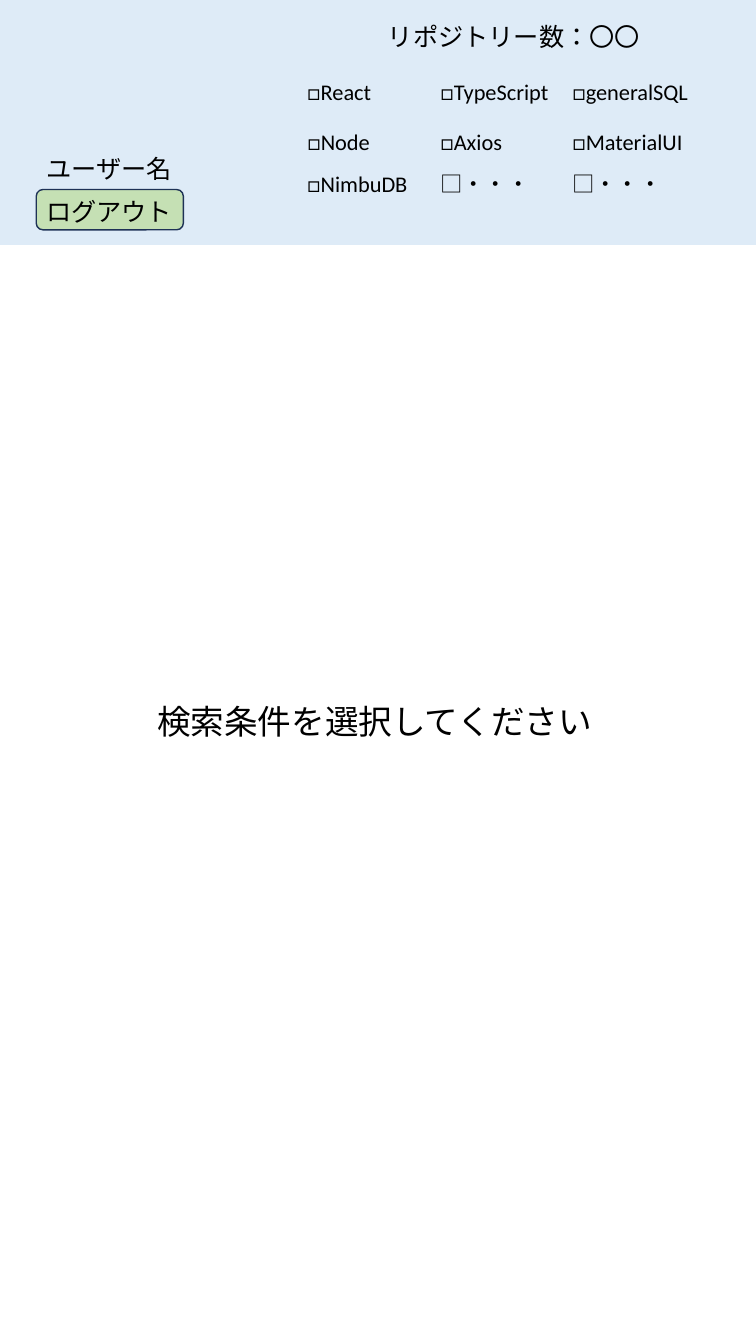
from pptx import Presentation
from pptx.dml.color import RGBColor
from pptx.enum.lang import MSO_LANGUAGE_ID as Language
from pptx.enum.shapes import MSO_SHAPE as Shape
from pptx.enum.text import MSO_AUTO_SIZE as AutoSize
from pptx.util import Inches, Pt

FONT = "Calibri"
FILTER_LEFTS = (2.95, 4.27, 5.58)
# Each row: top, then (label, box width) for each column
FILTER_ROWS = (
    (0.73, (("React", 0.93), ("TypeScript", 1.38), ("generalSQL", 1.47))),
    (1.22, (("Node", 0.92), ("Axios", 0.91), ("MaterialUI", 1.39))),
    (1.64, (("NimbuDB", 1.34), ("・・・", 1.1), ("・・・", 1.1))),
)


def color(hex_string):
    return RGBColor.from_string(hex_string)


def add_panel(slide, kind, left, top, width, height, fill, line=None):
    shape = slide.shapes.add_shape(
        kind, Inches(left), Inches(top), Inches(width), Inches(height))
    shape.shadow.inherit = False
    shape.fill.solid()
    shape.fill.fore_color.rgb = color(fill)
    if line:
        shape.line.color.rgb = color(line)
        shape.line.width = Pt(1)
    else:
        shape.line.fill.background()


def add_label(slide, text, *, left, top, width, height=0.4, size=18):
    box = slide.shapes.add_textbox(
        Inches(left), Inches(top), Inches(width), Inches(height))
    frame = box.text_frame
    frame.word_wrap = False
    frame.auto_size = AutoSize.SHAPE_TO_FIT_TEXT
    run = frame.paragraphs[0].add_run()
    run.text = text
    run.font.name = FONT
    run.font.size = Pt(size)
    run.font.color.rgb = color("000000")
    run.font.language_id = Language.JAPANESE


def add_filters(slide):
    for top, filters in FILTER_ROWS:
        for left, (name, width) in zip(FILTER_LEFTS, filters):
            add_label(slide, "□" + name, left=left, top=top, width=width,
                      height=0.37, size=16)


def main():
    presentation = Presentation()
    presentation.slide_width = Inches(7.5)
    presentation.slide_height = Inches(13.33)
    slide = presentation.slides.add_slide(presentation.slide_layouts[6])

    # Header with repository count and search filters
    add_panel(slide, Shape.RECTANGLE, 0, 0, 7.5, 2.43, "DEEBF7")
    add_label(slide, "リポジトリー数：〇〇", left=3.75, top=0.16, width=2.73)
    add_filters(slide)

    # Prompt in the empty result area
    add_label(slide, "検索条件を選択してください", left=1.46, top=6.9,
              width=4.58, height=0.5, size=24)

    # User name and logout button
    add_label(slide, "ユーザー名", left=0.36, top=1.47, width=1.46)
    add_panel(slide, Shape.ROUNDED_RECTANGLE, 0.36, 1.88, 1.46, 0.4,
              "C5E0B4", line="1E3256")
    add_label(slide, "ログアウト", left=0.36, top=1.9, width=1.46)

    presentation.save("out.pptx")


if __name__ == "__main__":
    main()
